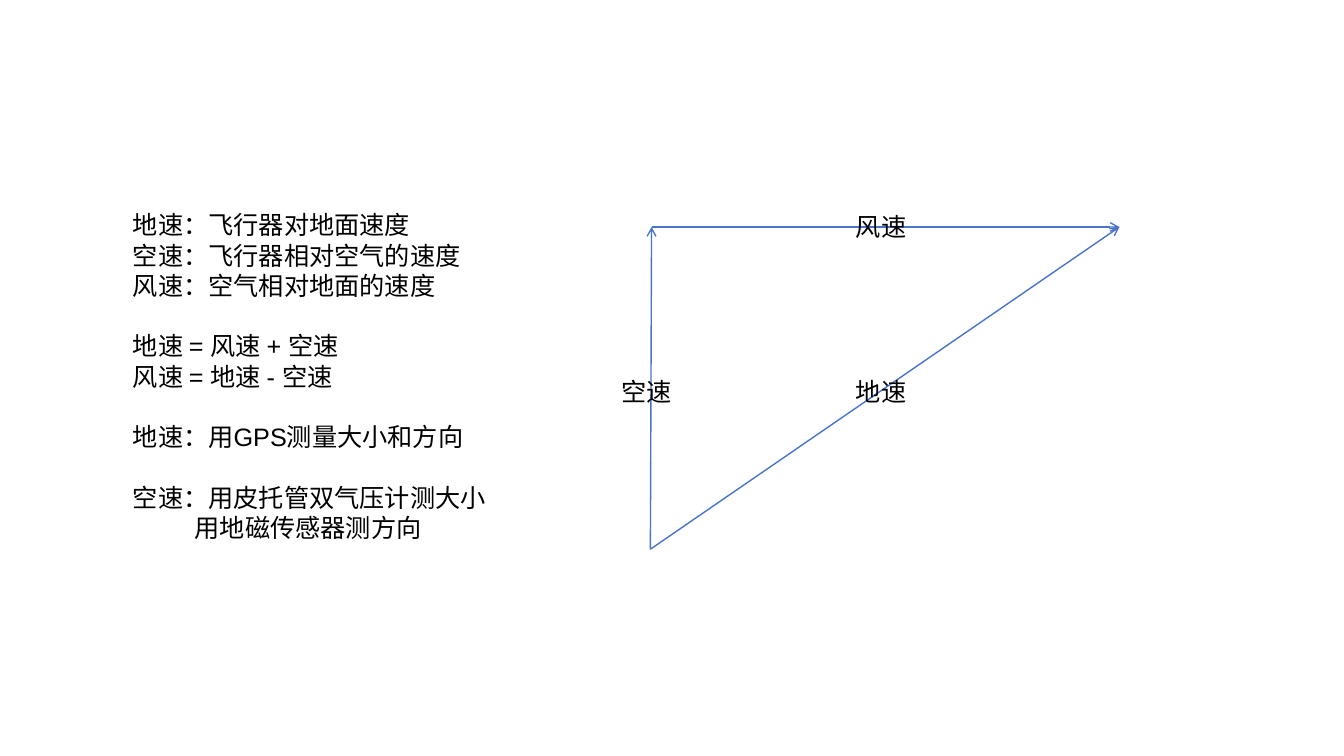
import pptx
import pptx.dml.color
import pptx.enum.shapes
import pptx.oxml
import pptx.oxml.ns
import pptx.util
from pptx.util import Cm

BLUE = pptx.dml.color.RGBColor(0x48, 0x74, 0xCB)
BLACK = pptx.dml.color.RGBColor(0, 0, 0)
FONT = "Arial"
LINE_GAP = pptx.util.Pt(21.6)
METHOD_INDENT = Cm(1.56)

# Each inner list is a block, set apart from the one above by a line's height.
NOTES = [
    ["地速：飞行器对地面速度", "空速：飞行器相对空气的速度", "风速：空气相对地面的速度"],
    ["地速 = 风速 + 空速", "风速 = 地速 - 空速"],
    ["地速：用GPS测量大小和方向"],
    ["空速：用皮托管双气压计测大小", "用地磁传感器测方向"],
]


def add_run(paragraph, words):
    run = paragraph.add_run()
    run.text = words
    run.font.name = FONT
    run.font.size = pptx.util.Pt(18)
    run.font.color.rgb = BLACK


def add_notes(slide, left, top, width, height):
    frame = slide.shapes.add_textbox(left, top, width, height).text_frame
    frame.word_wrap = True
    paragraph = None
    for block in NOTES:
        for position, words in enumerate(block):
            starts_block = paragraph is not None and position == 0
            paragraph = frame.add_paragraph() if paragraph is not None else frame.paragraphs[0]
            if starts_block:
                paragraph.space_before = LINE_GAP
            add_run(paragraph, words)
    # The closing line lines up under the method named in the line above it.
    paragraph._p.get_or_add_pPr().set("marL", str(int(METHOD_INDENT)))


def add_vector(group, start, end):
    vector = group.shapes.add_connector(
        pptx.enum.shapes.MSO_CONNECTOR.STRAIGHT, *start, *end)
    vector.line.color.rgb = BLUE
    vector.line.width = pptx.util.Pt(1)
    head = pptx.oxml.parse_xml(
        f'<a:tailEnd {pptx.oxml.ns.nsdecls("a")} type="arrow"/>')
    vector.line._get_or_add_ln().append(head)
    vector._element.spPr.append(
        pptx.oxml.parse_xml(f'<a:effectLst {pptx.oxml.ns.nsdecls("a")}/>'))


def add_label(group, words, center_x, center_y):
    width, height = Cm(1.96), Cm(1.02)
    frame = group.shapes.add_textbox(
        int(center_x - width / 2), int(center_y - height / 2), width, height).text_frame
    frame.word_wrap = True
    add_run(frame.paragraphs[0], words)


def add_speed_triangle(slide, left, top, width, height):
    """Draw ground speed as the sum of air speed and wind speed."""
    group = slide.shapes.add_group_shape()
    origin = (left, top + height)
    corner = (left + Cm(0.03), top)
    tip = (left + width, top)
    for start, end in ((origin, tip), (origin, corner), (corner, tip)):
        add_vector(group, start, end)

    middle_x = left + width / 2
    middle_y = top + height * 0.51
    add_label(group, "空速", left, middle_y)
    add_label(group, "风速", middle_x, top)
    add_label(group, "地速", middle_x, middle_y)


def main():
    deck = pptx.Presentation()
    deck.slide_width, deck.slide_height = Cm(33.87), Cm(19.05)
    slide = deck.slides.add_slide(deck.slide_layouts[6])
    add_speed_triangle(slide, Cm(16.39), Cm(5.72), Cm(11.82), Cm(8.12))
    add_notes(slide, Cm(3.1), Cm(5.16), Cm(10.13), Cm(8.71))
    deck.save("out.pptx")


if __name__ == "__main__":
    main()
